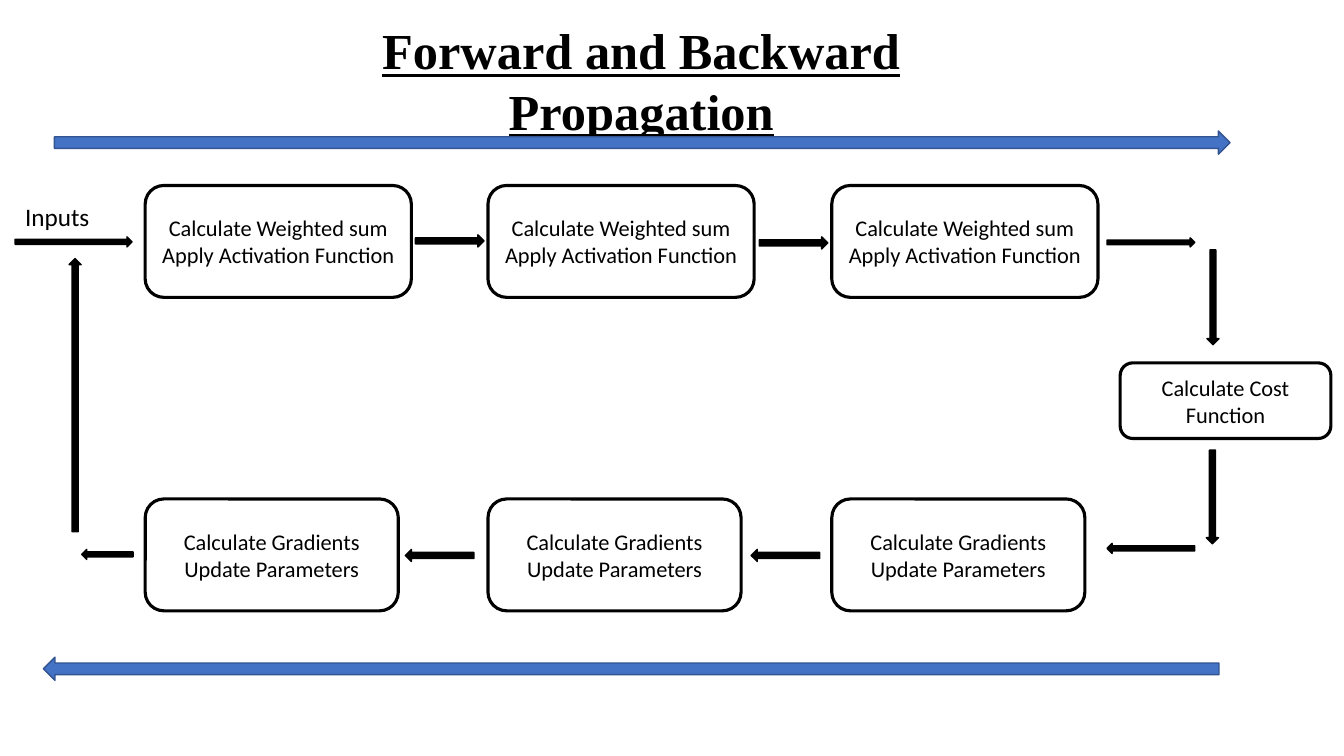
from pptx import Presentation
from pptx.dml.color import RGBColor
from pptx.enum.shapes import MSO_SHAPE
from pptx.enum.text import MSO_ANCHOR, MSO_AUTO_SIZE, PP_ALIGN
from pptx.util import Inches, Pt

COLORS = {"ink": "000000", "paper": "FFFFFF", "blue": "4472C4", "blue_edge": "325491"}
HEADING_FONT = "Times New Roman"
BODY_FONT = "Calibri"
TITLE_ONLY = 5


class FlowSlide:
    def __init__(self, deck):
        self.page = deck.slides.add_slide(deck.slide_layouts[TITLE_ONLY])

    def color(self, name):
        return RGBColor.from_string(COLORS[name])

    def add_span(self, para, text, size, font=BODY_FONT):
        span = para.add_run()
        span.text = text
        span.font.size = Pt(size)
        span.font.name = font
        span.font.color.rgb = self.color("ink")
        return span

    def title(self, text, left, top, width, height):
        box = self.page.shapes.title
        box.left, box.top = Inches(left), Inches(top)
        box.width, box.height = Inches(width), Inches(height)
        frame = box.text_frame
        frame.auto_size = MSO_AUTO_SIZE.NONE
        frame.word_wrap = True
        frame.vertical_anchor = MSO_ANCHOR.TOP
        para = frame.paragraphs[0]
        para.alignment = PP_ALIGN.CENTER
        span = self.add_span(para, text, 36, HEADING_FONT)
        span.font.bold = span.font.underline = True

    def label(self, text, left, top, width, height):
        box = self.page.shapes.add_textbox(
            Inches(left), Inches(top), Inches(width), Inches(height))
        box.text_frame.word_wrap = False
        self.add_span(box.text_frame.paragraphs[0], text, 18)

    def shape(self, kind, left, top, width, height, fill, line, weight):
        shape = self.page.shapes.add_shape(
            kind, Inches(left), Inches(top), Inches(width), Inches(height))
        shape.shadow.inherit = False
        shape.fill.solid()
        shape.fill.fore_color.rgb = self.color(fill)
        shape.line.color.rgb = self.color(line)
        shape.line.width = Pt(weight)
        return shape

    def step(self, lines, left, top, width, height):
        box = self.shape(MSO_SHAPE.ROUNDED_RECTANGLE, left, top, width, height,
                         "paper", "ink", 2.25)
        frame = box.text_frame
        frame.word_wrap = True
        frame.vertical_anchor = MSO_ANCHOR.MIDDLE
        for index, text in enumerate(lines):
            para = frame.add_paragraph() if index else frame.paragraphs[0]
            para.alignment = PP_ALIGN.CENTER
            self.add_span(para, text, 16)

    def arrow(self, left, top, length, thickness, turn=0, fill="ink", line="ink"):
        """Block arrow pointing right, then turned clockwise about its centre."""
        arrow = self.shape(MSO_SHAPE.RIGHT_ARROW, left, top, length, thickness,
                           fill, line, 1)
        arrow.rotation = turn


def main():
    deck = Presentation()
    deck.slide_width, deck.slide_height = Inches(13.33), Inches(7.5)
    slide = FlowSlide(deck)
    slide.title("Forward and Backward Propagation", 2.66, 0.14, 7.4, 0.71)

    column_lefts = [1.44, 4.84, 8.25]
    for left in column_lefts:
        slide.step(["Calculate Weighted sum", "Apply Activation Function"],
                   left, 1.84, 2.64, 1.11)
    slide.step(["Calculate Cost Function"], 11.11, 3.6, 2.09, 0.75)
    for left in reversed(column_lefts):
        slide.step(["Calculate Gradients", "Update Parameters"],
                   left, 4.95, 2.51, 1.11)

    forward_arrows = [
        (0.15, 2.35, 1.16, 0.1),
        (4.12, 2.33, 0.68, 0.12),
        (7.53, 2.35, 0.68, 0.12),
        (10.98, 2.36, 0.87, 0.09),
    ]
    cost_arrows = [(11.56, 2.89, 0.94, 0.12), (11.56, 4.87, 0.93, 0.12)]
    backward_arrows = [
        (10.98, 5.39, 0.87, 0.1),
        (7.45, 5.45, 0.68, 0.12),
        (4.02, 5.45, 0.68, 0.12),
        (0.81, 5.45, 0.51, 0.1),
    ]
    return_arrows = [(-0.61, 3.86, 2.71, 0.12)]
    for turn, arrows in [(0, forward_arrows), (90, cost_arrows),
                         (180, backward_arrows), (270, return_arrows)]:
        for place in arrows:
            slide.arrow(*place, turn)

    slide.label("Inputs", 0.15, 1.95, 0.85, 0.4)

    for left, top, turn in [(0.54, 1.3, 0), (0.43, 6.52, 180)]:
        slide.arrow(left, top, 11.66, 0.23, turn, "blue", "blue_edge")

    deck.save("out.pptx")


if __name__ == "__main__":
    main()
